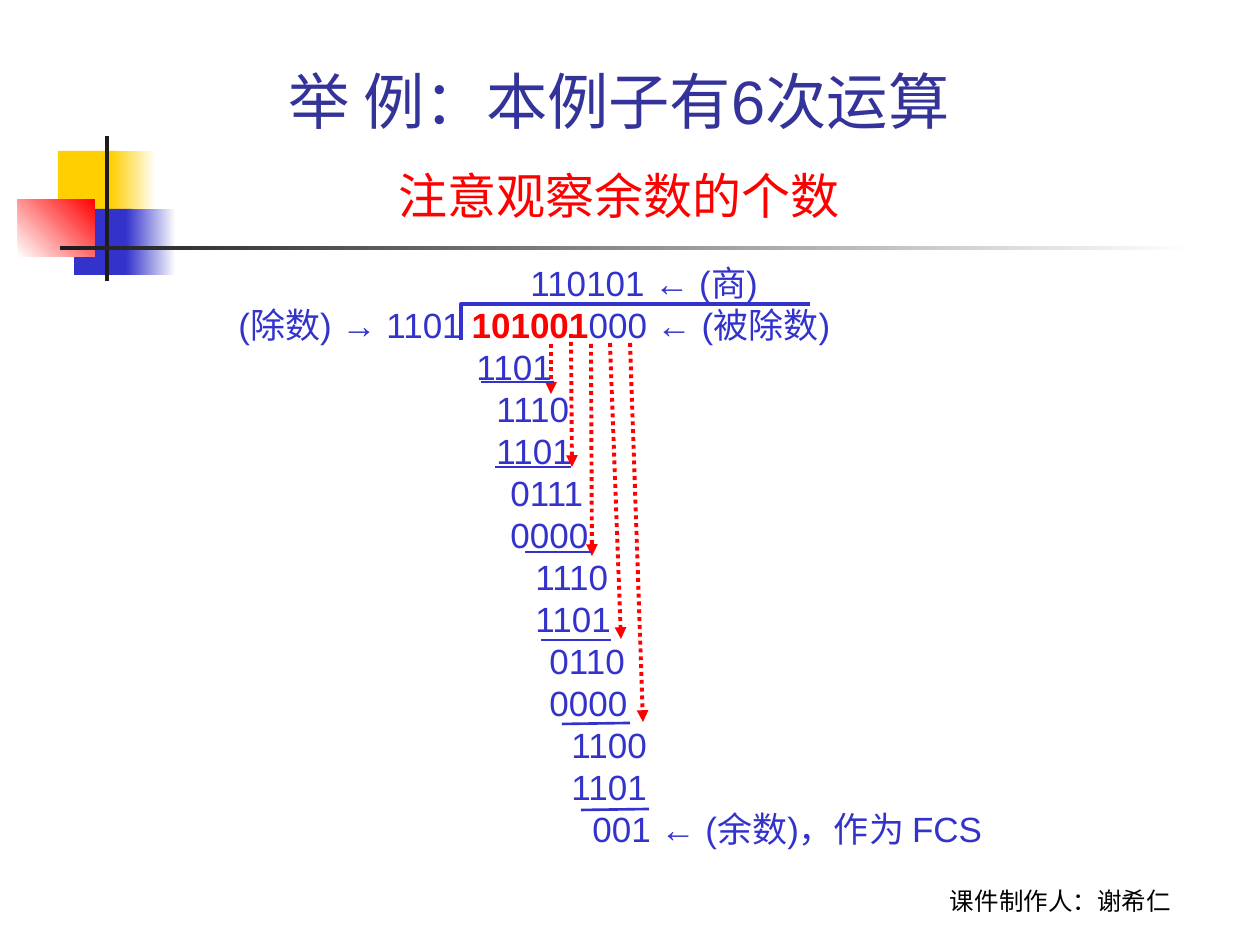
from typing import NamedTuple

from lxml import etree
from pptx import Presentation
from pptx.dml.color import RGBColor
from pptx.enum.dml import MSO_LINE
from pptx.enum.shapes import MSO_CONNECTOR, MSO_SHAPE
from pptx.enum.text import MSO_ANCHOR, PP_ALIGN
from pptx.oxml.ns import qn
from pptx.util import Emu, Pt

RECT = MSO_SHAPE.RECTANGLE
STRAIGHT = MSO_CONNECTOR.STRAIGHT
DOTS = MSO_LINE.ROUND_DOT
TOP, BOTTOM = MSO_ANCHOR.TOP, MSO_ANCHOR.BOTTOM
LEFT, CENTER = PP_ALIGN.LEFT, PP_ALIGN.CENTER
SCALE = 914400 / 126
BLUE, RED, GOLD, DARK, WHITE = "3333CC", "FF0000", "FFCF01", "1C1C1C", "FFFFFF"


class Block(NamedTuple):
    x: int
    y: int
    w: int
    h: int
    color: str
    end: str = ""
    angle: int = 0


class Stroke(NamedTuple):
    x1: int
    y1: int
    x2: int
    y2: int


class Row(NamedTuple):
    indent: int
    runs: list


def px(value: int) -> Emu:
    return Emu(round(value * SCALE))


def rgb(code: str) -> RGBColor:
    return RGBColor.from_string(code)


def draw_block(slide, block: Block) -> None:
    shape = slide.shapes.add_shape(RECT, *map(px, block[:4]))
    shape.shadow.inherit = False
    shape.line.fill.background()
    if block.end:
        shape.fill.gradient()
        shape.fill.gradient_angle = block.angle
        for stop, code in zip(shape.fill.gradient_stops, (block.color, block.end)):
            stop.color.rgb = rgb(code)
    else:
        shape.fill.solid()
        shape.fill.fore_color.rgb = rgb(block.color)


def draw_stroke(slide, stroke: Stroke, color: str, width: float, arrow: bool = False) -> None:
    link = slide.shapes.add_connector(STRAIGHT, *map(px, stroke))
    link.line.color.rgb = rgb(color)
    link.line.width = Pt(width)
    if arrow:
        link.line.dash_style = DOTS
        etree.SubElement(link.line._get_or_add_ln(), qn("a:tailEnd"), type="triangle")
    etree.SubElement(link._element.spPr, qn("a:effectLst"))


def add_box(slide, x: int, y: int, w: int, h: int, anchor):
    frame = slide.shapes.add_textbox(*map(px, (x, y, w, h))).text_frame
    frame.word_wrap = True
    frame.vertical_anchor = anchor
    return frame


def add_run(para, text: str, color: str, size: int, name: str = "Arial", bold: bool = False) -> None:
    run = para.add_run()
    run.text = text
    for key, value in {"size": Pt(size), "name": name, "bold": bold}.items():
        setattr(run.font, key, value)
    run.font.color.rgb = rgb(color)


def build() -> None:
    deck = Presentation()
    deck.slide_width, deck.slide_height = px(1260), px(945)
    slide = deck.slides.add_slide(deck.slide_layouts[6])

    # Corner ornament and rule
    for block in (
        Block(58, 151, 60, 66, GOLD),
        Block(111, 151, 45, 66, GOLD, WHITE),
        Block(74, 209, 58, 66, BLUE),
        Block(126, 209, 50, 66, BLUE, WHITE),
        Block(18, 199, 77, 58, WHITE, RED, 45),
        Block(105, 136, 4, 145, DARK),
        Block(60, 246, 1134, 4, DARK, WHITE),
    ):
        draw_block(slide, block)

    # Footer
    para = add_box(slide, 861, 859, 399, 63, BOTTOM).paragraphs[0]
    para.alignment = CENTER
    add_run(para, "课件制作人：谢希仁", "000000", 14, "Lato")

    # Long division: each remainder sits above the next product
    pairs = [
        (326, "1110", "1101"), (340, "0111", "0000"), (365, "1110", "1101"),
        (379, "0110", "0000"), (401, "1100", "1101"),
    ]
    rows = [
        Row(360, [("110101 ← (商)", BLUE, False)]),
        Row(68, [("(除数) → 1101 ", BLUE, False), ("101001", RED, True),
                 ("000 ← (被除数)", BLUE, False)]),
        Row(306, [("1101", BLUE, False)]),
        *(Row(left, [(digits, BLUE, False)]) for left, *both in pairs for digits in both),
        Row(422, [("001 ← (余数)，作为 FCS", BLUE, False)]),
    ]
    frame = add_box(slide, 158, 255, 1091, 601, TOP)
    for num, row in enumerate(rows):
        para = frame.add_paragraph() if num else frame.paragraphs[0]
        para.alignment = LEFT
        para.line_spacing = Pt(24)
        para._p.get_or_add_pPr().set("marL", str(px(row.indent)))
        for text, color, bold in row.runs:
            add_run(para, text, color, 20, bold=bold)

    # Title
    para = add_box(slide, 113, 66, 1012, 165, BOTTOM).paragraphs[0]
    para.alignment = CENTER
    para.line_spacing = 1.5
    add_run(para, "举 例：本例子有6次运算", "333399", 35)
    para.add_line_break()
    add_run(para, "注意观察余数的个数", RED, 28)

    # Division bracket
    pen = slide.shapes.build_freeform(461, 340, scale=SCALE)
    pen.add_line_segments([(461, 304), (810, 304)], close=False)
    frame = pen.convert_to_shape()
    frame.shadow.inherit = False
    frame.fill.background()
    frame.line.color.rgb = rgb(BLUE)
    frame.line.width = Pt(2.25)

    # Digits brought down
    for stroke in (
        Stroke(551, 344, 551, 394),
        Stroke(571, 334, 572, 467),
        Stroke(591, 344, 592, 556),
        Stroke(610, 343, 621, 639),
        Stroke(630, 343, 643, 722),
    ):
        draw_stroke(slide, stroke, RED, 2.25, arrow=True)

    # Subtraction lines
    for stroke in (
        Stroke(581, 810, 649, 809),
        Stroke(562, 724, 630, 723),
        Stroke(541, 640, 611, 640),
        Stroke(525, 552, 592, 552),
        Stroke(495, 467, 571, 467),
        Stroke(481, 382, 554, 382),
    ):
        draw_stroke(slide, stroke, BLUE, 1.5)

    deck.save("out.pptx")


if __name__ == "__main__":
    build()
